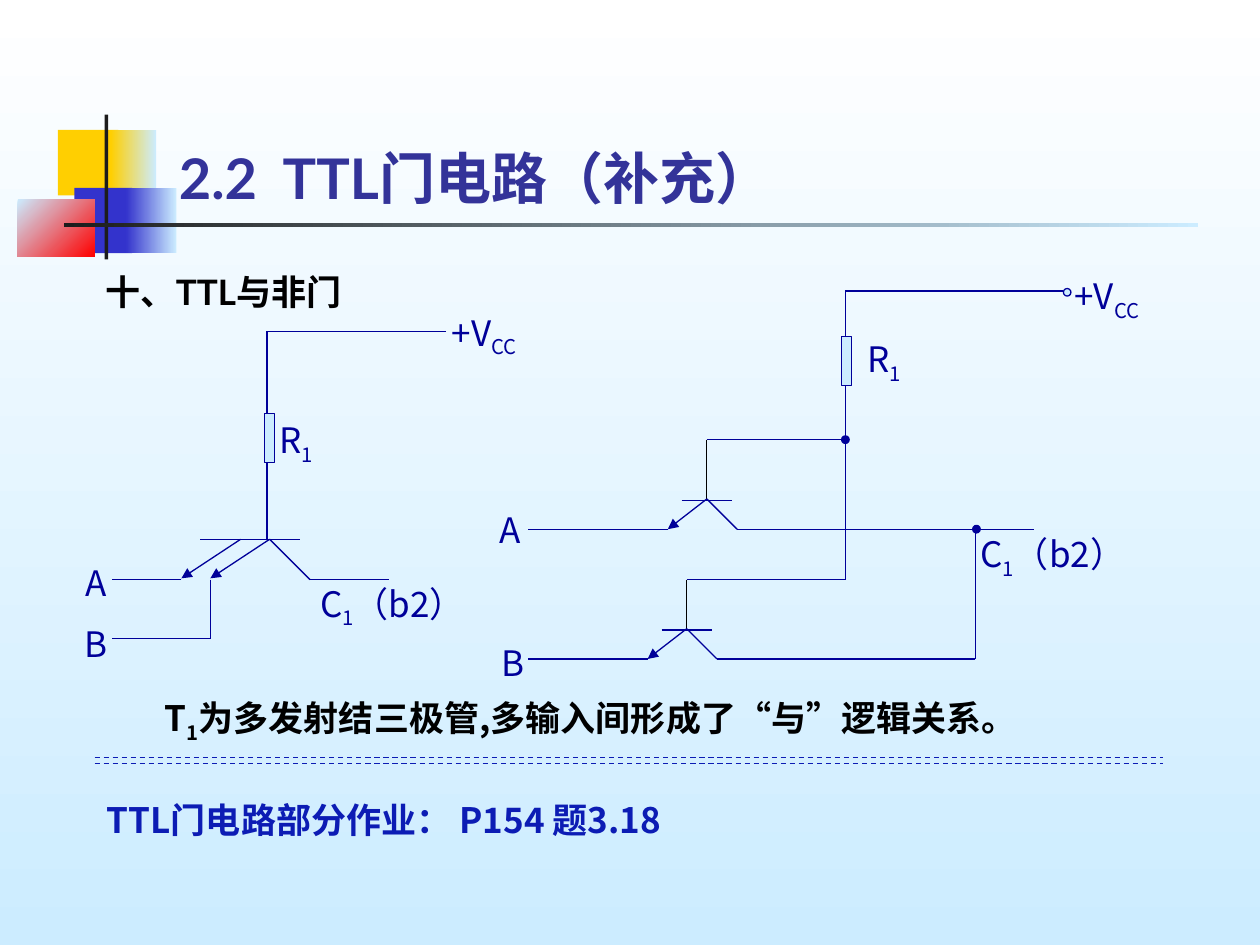
from dataclasses import dataclass

from lxml.etree import SubElement
from pptx import Presentation
from pptx.dml.color import RGBColor
from pptx.enum.dml import MSO_LINE
from pptx.enum.shapes import MSO_CONNECTOR, MSO_SHAPE
from pptx.enum.text import MSO_ANCHOR, MSO_AUTO_SIZE, PP_ALIGN
from pptx.oxml.ns import qn
from pptx.util import Inches, Pt


@dataclass(frozen=True)
class Theme:
    wire: str = "000099"
    title: str = "333399"
    homework: str = "0C1CB4"
    black: str = "000000"
    rule: str = "1C1C1C"
    white: str = "FFFFFF"
    sky: str = "CCECFF"
    yellow: str = "FFCF01"
    blue: str = "3333CC"
    red: str = "FF0000"
    heading_font: str = "Lato"
    body_font: str = "Noto Sans CJK SC"
    title_size: int = 32
    body_size: int = 20
    line_width: float = 0.75


class SlideBuilder:
    def __init__(self, slide, theme):
        self.slide, self.theme = slide, theme

    def paint(self, fill, colours, angle=0):
        """Fill with one colour, or with a gradient between two at a clockwise angle."""
        if isinstance(colours, str):
            fill.solid()
            fill.fore_color.rgb = RGBColor.from_string(colours)
            return
        fill.gradient()
        fill.gradient_angle = -angle % 360
        for stop, colour in zip(fill.gradient_stops, colours):
            stop.color.rgb = RGBColor.from_string(colour)

    def style(self, paragraph, font, size, colour, bold):
        paragraph.font.name = font
        paragraph.font.size = Pt(size)
        paragraph.font.bold = bold
        paragraph.font.color.rgb = RGBColor.from_string(colour)

    def title(self, text, left, top, width, height):
        box = self.slide.shapes.title
        box.left, box.top = Inches(left), Inches(top)
        box.width, box.height = Inches(width), Inches(height)
        frame = box.text_frame
        frame.text = text
        frame.auto_size = MSO_AUTO_SIZE.NONE
        frame.vertical_anchor = MSO_ANCHOR.BOTTOM
        frame.margin_left = Inches(0.17)
        paragraph = frame.paragraphs[0]
        paragraph.alignment = PP_ALIGN.LEFT
        self.style(paragraph, self.theme.heading_font, self.theme.title_size,
                   self.theme.title, True)

    def shape(self, preset, left, top, width, height, colours, angle=0, outline=None):
        shape = self.slide.shapes.add_shape(
            preset, Inches(left), Inches(top), Inches(width), Inches(height))
        shape.shadow.inherit = False
        self.paint(shape.fill, colours, angle)
        if outline:
            self.paint(shape.line.fill, outline)
            shape.line.width = Pt(self.theme.line_width)
        else:
            shape.line.fill.background()

    def resistor(self, left, top):
        self.shape(MSO_SHAPE.RECTANGLE, left, top, 0.08, 0.39, self.theme.sky,
                   outline=self.theme.wire)

    def node(self, left, top, colour):
        self.shape(MSO_SHAPE.FLOWCHART_CONNECTOR, left, top, 0.06, 0.06, colour,
                   outline=self.theme.wire)

    def line(self, start, end, colour=None, arrow=False, dash=None):
        line = self.slide.shapes.add_connector(
            MSO_CONNECTOR.STRAIGHT, *(Inches(value) for value in (*start, *end)))
        self.paint(line.line.fill, colour or self.theme.wire)
        line.line.width = Pt(self.theme.line_width)
        if dash:
            line.line.dash_style = dash
        if arrow:
            SubElement(line.line._get_or_add_ln(), qn("a:tailEnd"), type="triangle")
        SubElement(line._element.spPr, qn("a:effectLst"))

    def wire(self, *points):
        for start, end in zip(points, points[1:]):
            self.line(start, end)

    def transistor(self, x, y, top):
        """Draw a transistor whose base lead runs from top down to (x, y)."""
        self.line((x, top), (x, y), self.theme.black)
        self.line((x - 0.2, y + 0.01), (x + 0.2, y + 0.01))
        self.line((x, y), (x - 0.31, y + 0.24), arrow=True)
        self.line((x, y), (x + 0.24, y + 0.24))

    def text(self, parts, left, top, width, height, font=None, colour=None,
             bold=False, spacing=None):
        """Write parts in one paragraph, every second one as a subscript."""
        box = self.slide.shapes.add_textbox(
            Inches(left), Inches(top), Inches(width), Inches(height))
        box.text_frame.word_wrap = True
        paragraph = box.text_frame.paragraphs[0]
        if spacing:
            paragraph.line_spacing = spacing
        for index, part in enumerate(parts):
            run = paragraph.add_run()
            run.text = part
            if index % 2:
                run._r.get_or_add_rPr().set("baseline", "-25000")
        self.style(paragraph, font or self.theme.body_font, self.theme.body_size,
                   colour or self.theme.wire, bold)
        return box

    def label(self, parts, left, top, width, height=0.48):
        """Write a centred one-line label whose box grows with its text."""
        box = self.text(parts, left, top, width, height)
        box.text_frame.word_wrap = False
        box.text_frame.auto_size = MSO_AUTO_SIZE.SHAPE_TO_FIT_TEXT
        box.text_frame.paragraphs[0].alignment = PP_ALIGN.CENTER


def draw_backdrop(page):
    theme = page.theme
    page.paint(page.slide.background.fill, (theme.white, theme.sky), 90)
    for *place, colours, angle in (
        (0.46, 1.03, 0.48, 0.52, theme.yellow, 0),
        (0.88, 1.03, 0.36, 0.52, (theme.yellow, theme.sky), 0),
        (0.59, 1.49, 0.46, 0.52, theme.blue, 0),
        (1, 1.49, 0.4, 0.52, (theme.blue, theme.sky), 0),
        (0.14, 1.58, 0.61, 0.46, (theme.sky, theme.red), 45),
        (0.83, 0.91, 0.03, 1.15, theme.rule, 0),
        (0.51, 1.77, 9, 0.03, (theme.rule, theme.sky), 0),
    ):
        page.shape(MSO_SHAPE.RECTANGLE, *place, colours, angle)


def draw_multi_emitter_circuit(page):
    page.wire((3.54, 2.63), (2.12, 2.63), (2.12, 4.28))
    page.line((1.59, 4.28), (2.38, 4.28))
    for emitter in (1.91, 2.14):
        page.line((emitter, 4.28), (emitter - 0.47, 4.59), arrow=True)
    page.wire((1.44, 4.6), (0.89, 4.6))
    page.wire((1.67, 4.6), (1.67, 5.07), (0.89, 5.07))
    page.wire((2.14, 4.28), (2.46, 4.6), (3.09, 4.6))
    page.resistor(2.1, 3.28)


def draw_equivalent_circuit(page):
    page.wire((8.44, 2.31), (6.71, 2.31), (6.71, 4.6), (5.45, 4.6))
    page.line((6.71, 3.49), (5.61, 3.49))
    page.transistor(5.61, 3.96, top=3.49)
    page.transistor(5.45, 4.99, top=4.6)
    page.line((5.3, 4.2), (4.19, 4.2))
    page.line((5.14, 5.23), (4.19, 5.23))
    page.line((5.85, 4.2), (8.21, 4.2))
    page.wire((7.74, 4.2), (7.74, 5.23), (5.69, 5.23))
    page.node(8.44, 2.29, page.theme.sky)
    page.node(7.72, 4.17, page.theme.wire)
    page.node(6.68, 3.46, page.theme.wire)
    page.resistor(6.68, 2.67)


def draw_labels(page):
    for name, left, top in (("A", 3.86, 3.99), ("A", 0.57, 4.41),
                            ("B", 0.57, 4.89), ("B", 3.88, 5.04)):
        page.label([name], left, top, 0.38, 0.44)
    for parts, width, places in (
        (("R", "1"), 0.48, ((6.78, 2.63), (2.11, 3.27))),
        (("C", "1", "（b2）"), 1.55, ((2.34, 4.57), (7.58, 4.18))),
        (("+V", "CC"), 0.73, ((8.42, 2.13), (3.48, 2.42))),
    ):
        for left, top in places:
            page.label(parts, left, top, width)


def main():
    deck = Presentation()
    deck.slide_width, deck.slide_height = Inches(10), Inches(7.5)
    theme = Theme()
    page = SlideBuilder(deck.slides.add_slide(deck.slide_layouts[5]), theme)
    draw_backdrop(page)
    page.title("2.2  TTL门电路（补充）", 1.25, 0.92, 7.1, 0.8)
    page.text(["十、TTL与非门"], 0.74, 2.1, 4.74, 0.44,
              font=theme.heading_font, colour=theme.black, bold=True)
    draw_multi_emitter_circuit(page)
    draw_equivalent_circuit(page)
    draw_labels(page)
    page.text(["T", "1", "为多发射结三极管,多输入间形成了“与”逻辑关系。"],
              1.21, 5.48, 7.19, 0.58, colour=theme.black, bold=True)
    page.text(["TTL门电路部分作业： P154 题3.18"], 0.75, 6.19, 6.66, 0.56,
              colour=theme.homework, bold=True, spacing=1.3)
    for y in (6.01, 6.06):
        page.line((0.75, y), (9.23, y), theme.homework, dash=MSO_LINE.DASH)
    deck.save("out.pptx")


if __name__ == "__main__":
    main()
